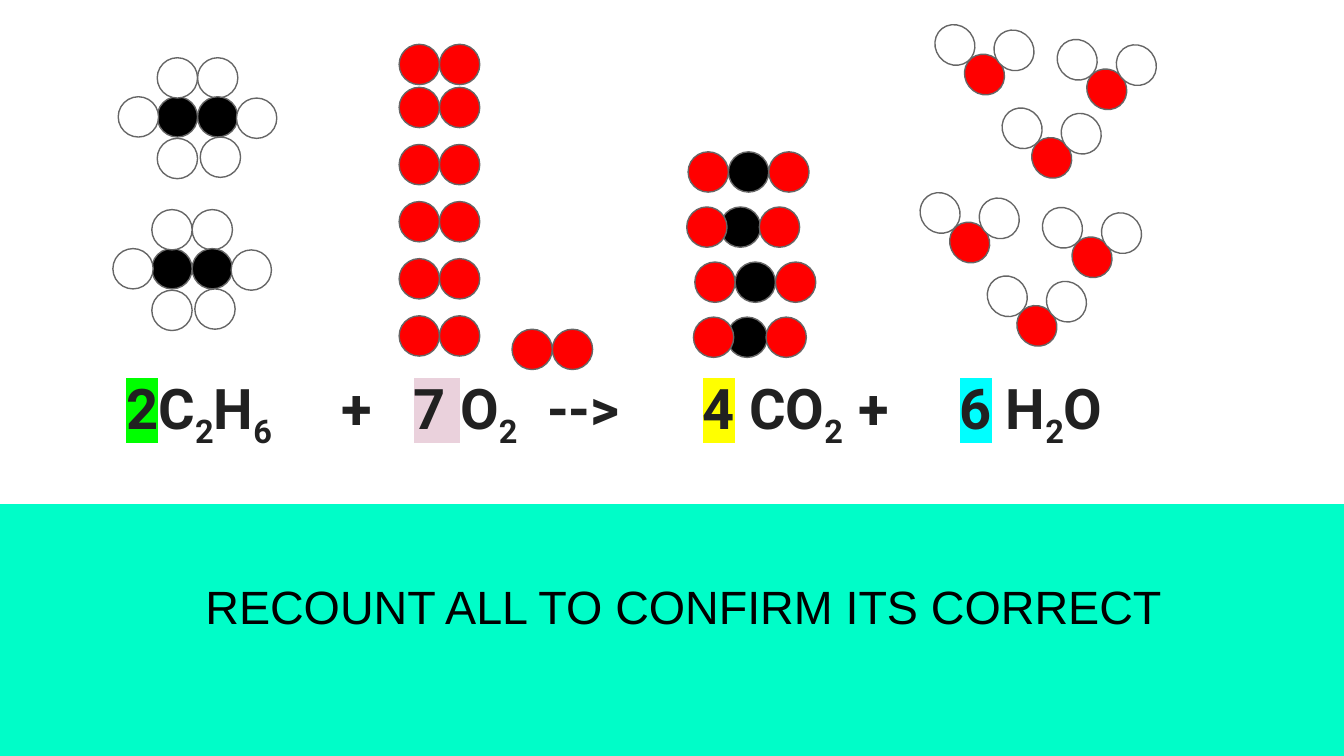
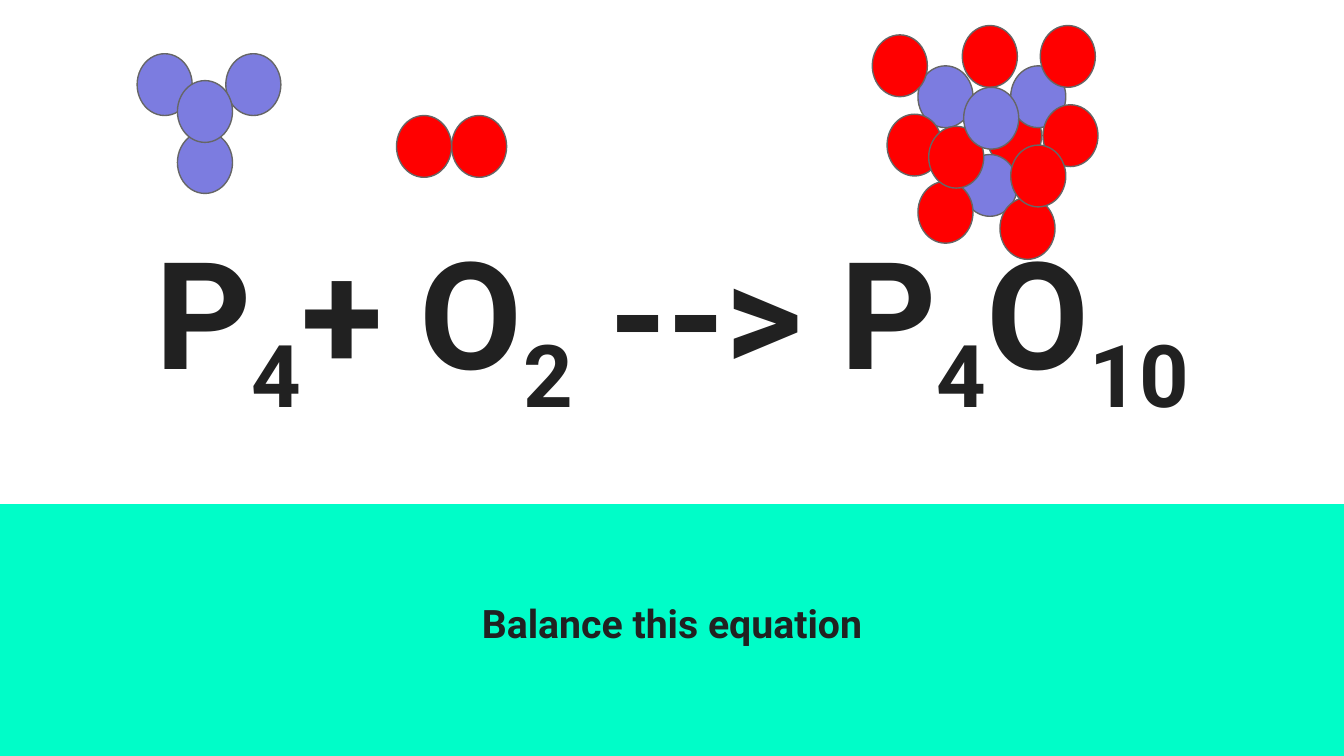
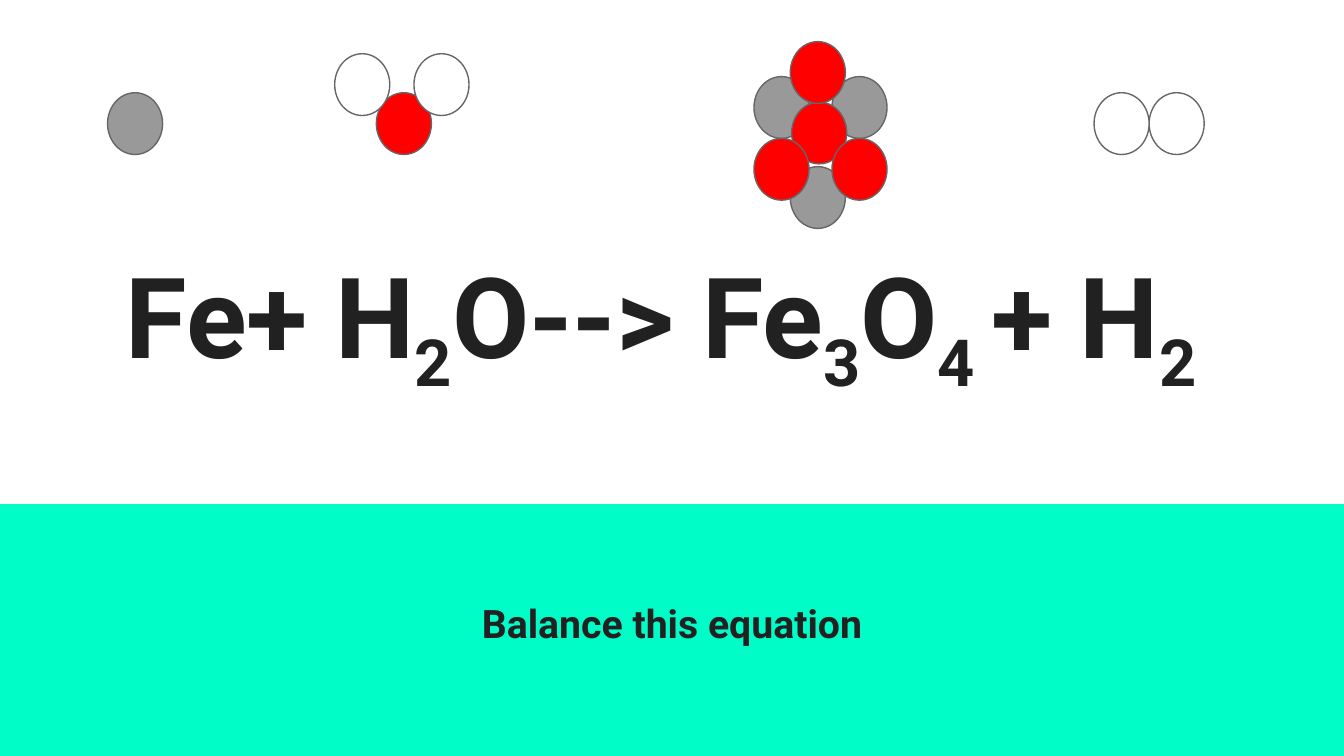
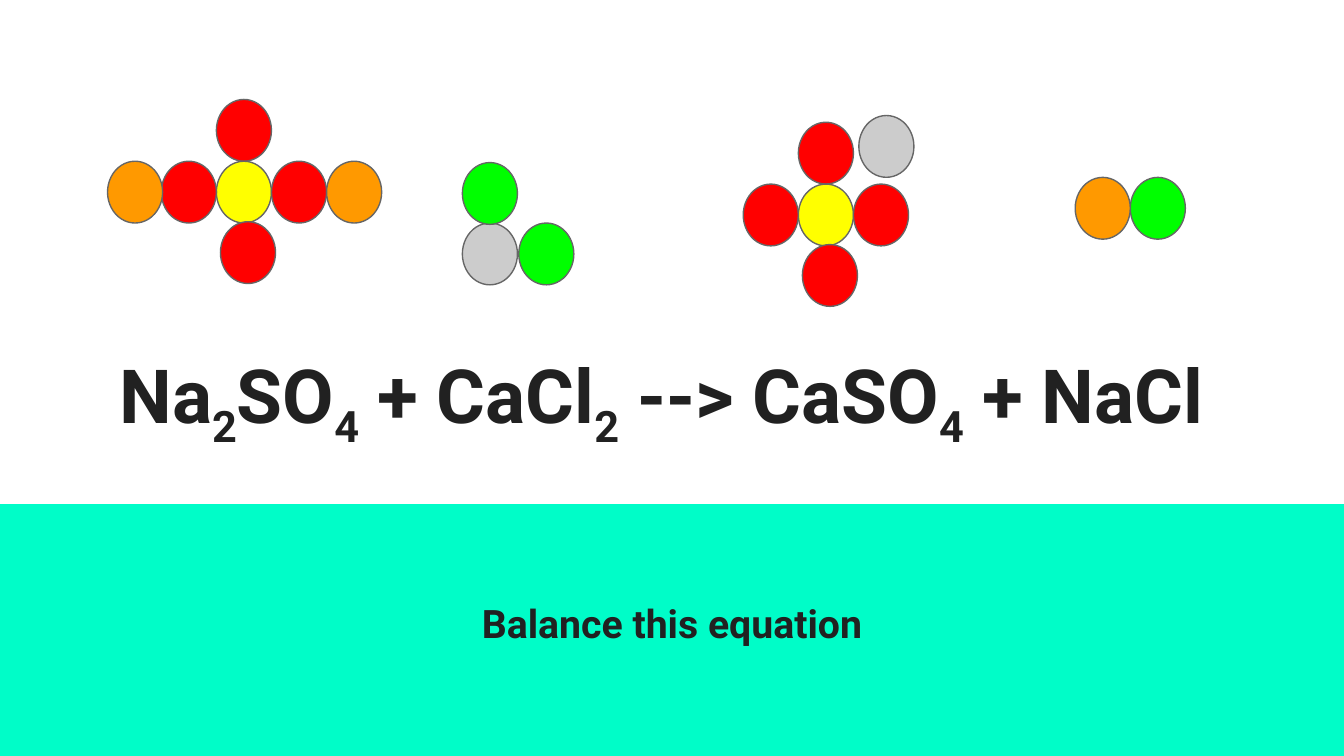
from dataclasses import dataclass

from lxml.etree import SubElement
from pptx import Presentation
from pptx.dml.color import RGBColor
from pptx.enum.shapes import MSO_SHAPE
from pptx.enum.text import MSO_ANCHOR, MSO_AUTO_SIZE, PP_ALIGN
from pptx.oxml.ns import qn
from pptx.util import Inches, Pt


@dataclass(frozen=True)
class Theme:
    mint: str = "00FDC8"
    white: str = "FFFFFF"
    black: str = "000000"
    ink: str = "212121"
    edge: str = "666666"
    green: str = "00FF00"
    pink: str = "EAD1DC"
    yellow: str = "FFFF00"
    cyan: str = "00FFFF"
    head: str = "Roboto"
    plain: str = "Arial"
    huge: int = 80
    large: int = 60
    mid: int = 40
    small: int = 30
    note: int = 25
    task: int = 21
    rim: float = 0.75


THEME = Theme()

ATOMS = {
    "H": THEME.white, "C": THEME.black, "O": "FF0000", "P": "7C7CE0",
    "Fe": "999999", "Na": "FF9900", "S": THEME.yellow, "Cl": THEME.green,
    "Ca": "CCCCCC",
}

WIDTH = 10
BALL = (0.3, 0.3)
TILT = (0.29, 0.31)
OVAL = (0.41, 0.46)
ANGLE = 321.8

# Each molecule lists its atoms from back to front: symbol, x, y.
ETHANE = [("H", 0.59, 0), ("C", 0.59, 0.29), ("C", 0.29, 0.29),
          ("H", 0.88, 0.3), ("H", 0.61, 0.59), ("H", 0.29, 0),
          ("H", 0, 0.29), ("H", 0.29, 0.6)]
DUO = [("O", 0.3, 0), ("O", 0, 0)]
WIDE = [("C", 0.3, 0), ("O", 0, 0), ("O", 0.6, 0)]
TIGHT = [("C", 0.25, 0), ("O", 0, 0), ("O", 0.54, 0)]
WATER = [("O", 0.22, 0.22), ("H", 0.44, 0.04), ("H", 0, 0)]
STEAM = [("O", 0.31, 0.29), ("H", 0.59, 0), ("H", 0, 0)]
P4 = [("P", 0.66, 0), ("P", 0.3, 0.58), ("P", 0, 0), ("P", 0.3, 0.2)]
P4O10 = [("O", 0.85, 0.59), ("P", 0.67, 0.96), ("P", 0.34, 0.3),
         ("P", 1.03, 0.3), ("O", 0.11, 0.66), ("O", 0, 0.07),
         ("O", 0.67, 0), ("O", 1.25, 0), ("O", 1.27, 0.59),
         ("O", 0.34, 1.16), ("O", 0.95, 1.28), ("O", 1.03, 0.89),
         ("O", 0.42, 0.75), ("P", 0.68, 0.46)]
RUST = [("Fe", 0.27, 0.93), ("Fe", 0.58, 0.26), ("Fe", 0, 0.26),
        ("O", 0.28, 0.45), ("O", 0.27, 0), ("O", 0, 0.72), ("O", 0.58, 0.72)]
SULFATE = [("O", 0.41, 0), ("S", 0.41, 0.46), ("O", 0, 0.46),
           ("O", 0.82, 0.46), ("O", 0.44, 0.91)]
CACL2 = [("Cl", 0.42, 0.45), ("Ca", 0, 0.45), ("Cl", 0, 0)]


def couple(left, right):
    return [(right, OVAL[0], 0), (left, 0, 0)]


def paint(shape, color):
    shape.fill.solid()
    shape.fill.fore_color.rgb = RGBColor.from_string(color)
    shape.shadow.inherit = False


def dress(layout, slide):
    """Give the layout its mint ground and the white band above it."""
    fill = layout.background.fill
    fill.solid()
    fill.fore_color.rgb = RGBColor.from_string(THEME.mint)
    spot = map(Inches, (0, 0, WIDTH, 3.75))
    band = slide.shapes.add_shape(MSO_SHAPE.RECTANGLE, *spot)
    paint(band, THEME.white)
    band.line.fill.background()
    band.element.nvSpPr.cNvPr.set("id", "20")
    layout.shapes.element.insert(2, band.element)


def place(shape, box):
    shape.left, shape.top, shape.width, shape.height = map(Inches, box)


def frame(shape, size, color=THEME.ink, face=THEME.head, bold=True,
          align=PP_ALIGN.CENTER, anchor=MSO_ANCHOR.MIDDLE):
    """Format the text frame of a shape and return its first paragraph."""
    text = shape.text_frame
    text.word_wrap = True
    text.auto_size = MSO_AUTO_SIZE.NONE
    text.vertical_anchor = anchor
    text.margin_left = text.margin_right = Inches(0.1)
    text.margin_top = text.margin_bottom = Inches(0.1)
    line = text.paragraphs[0]
    line.alignment = align
    font = line.font
    font.name, font.size, font.bold = face, Pt(size), bold
    font.color.rgb = RGBColor.from_string(color)
    return line


def write(line, parts):
    """Add runs: bare digits are subscripts, a pair is text with a highlight."""
    for part in parts:
        text, mark = part if isinstance(part, tuple) else (part, None)
        run = line.add_run()
        run.text = text
        props = run._r.get_or_add_rPr()
        if mark:
            light = SubElement(props, qn("a:highlight"))
            SubElement(light, qn("a:srgbClr")).set("val", mark)
        elif text.strip().isdigit():
            props.set("baseline", "-25000")


def set_tabs(line, stops):
    props = line._p.get_or_add_pPr()
    tabs = SubElement(props, qn("a:tabLst"))
    props.insert(0, tabs)
    for stop in stops:
        tab = SubElement(tabs, qn("a:tab"))
        tab.set("pos", str(Inches(stop)))
        tab.set("algn", "l")


def title(slide, box, size, parts, align=PP_ALIGN.CENTER):
    shape = slide.shapes.title
    place(shape, box)
    line = frame(shape, size, align=align)
    write(line, parts)
    return line


def task(slide):
    shape = slide.placeholders[1]
    place(shape, (0.34, 4.25, 9.32, 0.77))
    line = frame(shape, THEME.task)
    line.space_before = Pt(0)
    write(line, ["Balance this equation"])


def draw(slide, atoms, left, top, size=OVAL, turn=0):
    for name, x, y in atoms:
        spot = map(Inches, (left + x, top + y, *size))
        ball = slide.shapes.add_shape(MSO_SHAPE.OVAL, *spot)
        paint(ball, ATOMS[name])
        ball.line.color.rgb = RGBColor.from_string(THEME.edge)
        ball.line.width = Pt(THEME.rim)
        ball.rotation = turn


def ethane(slide):
    note = slide.placeholders[1]
    note.element.getparent().remove(note.element)
    box = slide.shapes.add_textbox(*map(Inches, (1.43, 4.2, 7.95, 1.58)))
    line = frame(box, THEME.note, THEME.black, THEME.plain, False,
                 PP_ALIGN.LEFT, MSO_ANCHOR.TOP)
    write(line, ["RECOUNT ALL TO CONFIRM ITS CORRECT"])
    line = title(slide, (0.84, 2.45, 8.32, 1.23), THEME.small, [
        ("2", THEME.green), "C", "2", "H", "6", "\t+\t", ("7 ", THEME.pink),
        "O", "2", "\t-->\t", ("4", THEME.yellow), " CO", "2", "\t+\t",
        ("6", THEME.cyan), " H", "2", "O"], PP_ALIGN.LEFT)
    set_tabs(line, (1.6, 2.14, 3.13, 4.29, 5.45, 6.2))

    for left, top in ((0.84, 1.56), (0.88, 0.43)):
        draw(slide, ETHANE, left, top, BALL)
    for row in range(5):
        draw(slide, DUO, 2.97, 0.65 + 1.7 * row / 4, BALL)
    for left, top in ((2.97, 0.33), (3.81, 2.45)):
        draw(slide, DUO, left, top, BALL)
    stack = ((WIDE, 5.12), (TIGHT, 5.11), (WIDE, 5.17), (TIGHT, 5.16))
    for row, (atoms, left) in enumerate(stack):
        draw(slide, atoms, left, 1.13 + 0.41 * row, BALL)
    for left, top in ((6.85, 1.43), (6.96, 0.18)):
        for x, y in ((0, 0), (0.5, 0.62), (0.91, 0.11)):
            draw(slide, WATER, left + x, top + y, TILT, ANGLE)


def phosphor(slide):
    title(slide, (0.34, 0.93, 9.32, 2.94), THEME.huge,
          ["P", "4", "+ O", "2", " --> P", "4", "O", "10"])
    task(slide)
    draw(slide, couple("O", "O"), 2.95, 0.86)
    draw(slide, P4, 1.02, 0.4)
    draw(slide, P4O10, 6.49, 0.19)


def iron(slide):
    title(slide, (0.26, 0.93, 9.32, 2.94), THEME.large,
          ["Fe+ H", "2", "O--> Fe", "3", "O", "4 ", "+ H", "2"])
    task(slide)
    draw(slide, couple("H", "H"), 8.14, 0.69)
    draw(slide, STEAM, 2.49, 0.4)
    draw(slide, [("Fe", 0, 0)], 0.8, 0.69)
    draw(slide, RUST, 5.61, 0.31)


def salt(slide):
    title(slide, (0.26, 2.36, 9.32, 1.23), THEME.mid,
          ["Na", "2", "SO", "4", " + CaCl", "2", " --> CaSO", "4", " + NaCl"])
    task(slide)
    draw(slide, CACL2, 3.44, 1.21)
    draw(slide, couple("Na", "Cl"), 8, 1.32)
    draw(slide, SULFATE, 1.2, 0.74)
    draw(slide, [("Na", 1.63, 0), ("Na", 0, 0)], 0.8, 1.2)
    draw(slide, SULFATE, 5.53, 0.91)
    draw(slide, [("Ca", 0, 0)], 6.39, 0.86)


def main():
    deck = Presentation()
    deck.slide_width = Inches(WIDTH)
    deck.slide_height = Inches(WIDTH * 9 / 16)
    layout = deck.slide_layouts[0]
    for number, build in enumerate((ethane, phosphor, iron, salt)):
        slide = deck.slides.add_slide(layout)
        if number == 0:
            dress(layout, slide)
        build(slide)
    deck.save("out.pptx")


if __name__ == "__main__":
    main()
